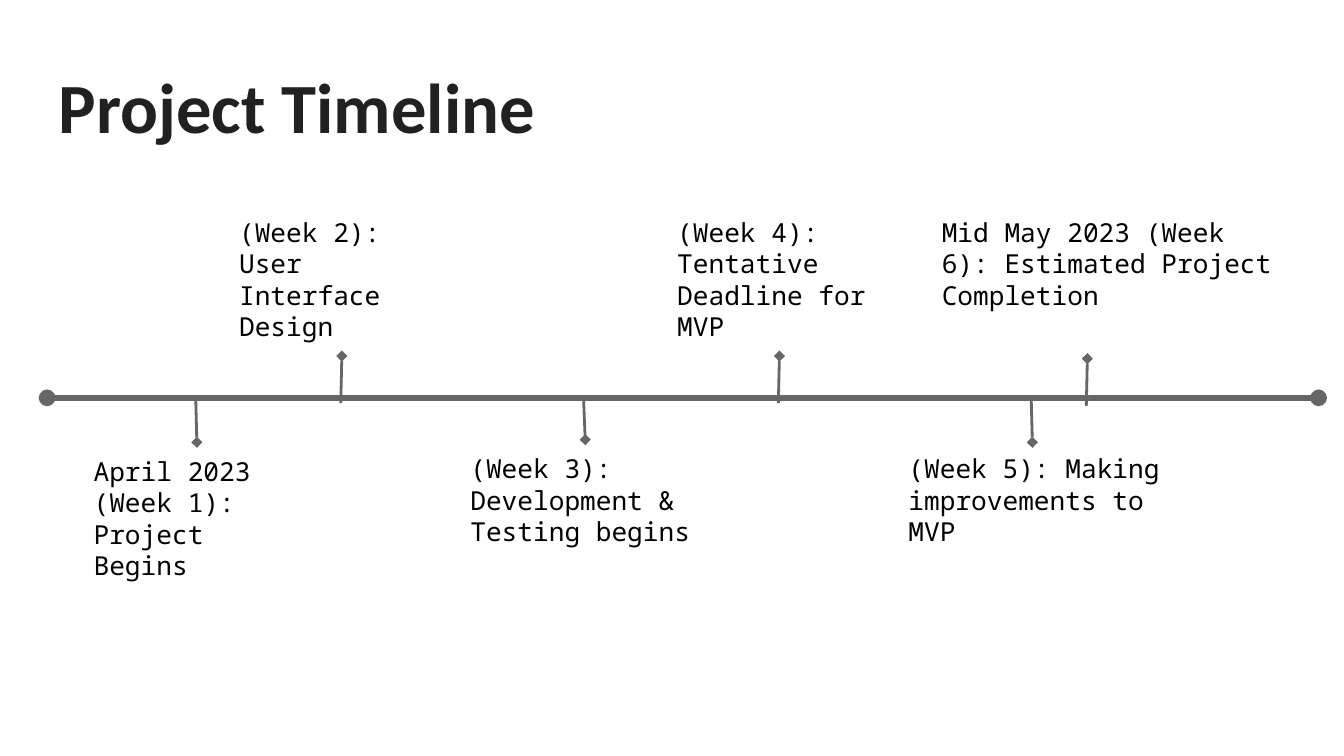
from pptx import Presentation
from pptx.dml.color import RGBColor
from pptx.enum.shapes import MSO_CONNECTOR
from pptx.enum.text import MSO_ANCHOR
from pptx.oxml.ns import qn
from pptx.util import Cm, Pt
from lxml.etree import SubElement

GREY = "666666"
UPPER_TOP = 3.84

# label, left, top, width, height, then marker start and end (cm)
MILESTONES = [
    ("April 2023 (Week 1): Project Begins",
     1.52, 8.36, 4.37, 2.9, (3.7, 7.57), (3.72, 8.36)),
    ("(Week 2): User Interface Design",
     4.27, UPPER_TOP, 4.37, 2.9, (6.44, 7.62), (6.46, 6.73)),
    ("(Week 3): Development & Testing begins",
     8.64, 8.31, 4.83, 2.31, (11.03, 7.57), (11.06, 8.31)),
    ("(Week 4): Tentative Deadline for MVP",
     12.55, UPPER_TOP, 4.37, 2.9, (14.71, 7.62), (14.73, 6.73)),
    ("(Week 5): Making improvements to MVP",
     16.92, 8.31, 5.41, 2.31, (19.49, 7.55), (19.51, 8.36)),
    ("Mid May 2023 (Week 6): Estimated Project Completion",
     17.55, UPPER_TOP, 6.99, 2.31, (20.53, 7.67), (20.55, 6.78)),
]


def rgb(value):
    return RGBColor.from_string(value)


def add_text(s, text, left, top, width, height, font="Noto Sans Mono", size=14,
             color="000000", bold=False, anchor=MSO_ANCHOR.TOP):
    sp = s.shapes.add_textbox(Cm(left), Cm(top), Cm(width), Cm(height))
    tf = sp.text_frame
    tf.word_wrap = True
    tf.vertical_anchor = anchor
    tf.margin_left = tf.margin_right = tf.margin_top = tf.margin_bottom = Cm(0.25)
    p = tf.paragraphs[0]
    r = p.add_run()
    r.text = text
    r.font.name = font
    r.font.size = Pt(size)
    r.font.bold = bold
    r.font.color.rgb = rgb(color)
    return sp


def add_line(s, start, end, width, head=None, tail=None):
    sp = s.shapes.add_connector(MSO_CONNECTOR.STRAIGHT,
                                Cm(start[0]), Cm(start[1]), Cm(end[0]), Cm(end[1]))
    sp.line.color.rgb = rgb(GREY)
    sp.line.width = Pt(width)
    # Line ends
    ln = sp.line._get_or_add_ln()
    for tag, kind in (("a:headEnd", head), ("a:tailEnd", tail)):
        if kind:
            SubElement(ln, qn(tag), type=kind, w="med", len="med")
    # No shadow
    SubElement(sp._element.spPr, qn("a:effectLst"))
    return sp


def main():
    prs = Presentation()
    prs.slide_width, prs.slide_height = Cm(25.4), Cm(14.29)
    s = prs.slides.add_slide(prs.slide_layouts[6])

    # Title
    add_text(s, "Project Timeline", 0.86, 0.81, 23.67, 2.24, font="Calibri",
             size=37.8, color="212121", bold=True, anchor=MSO_ANCHOR.BOTTOM)

    # Time axis
    add_line(s, (0.89, 7.52), (24.92, 7.52), 3, head="oval", tail="oval")

    # Milestones
    for text, left, top, width, height, start, end in MILESTONES:
        add_text(s, text, left, top, width, height)
        add_line(s, start, end, 1.5, tail="diamond")

    prs.save("out.pptx")


main()
